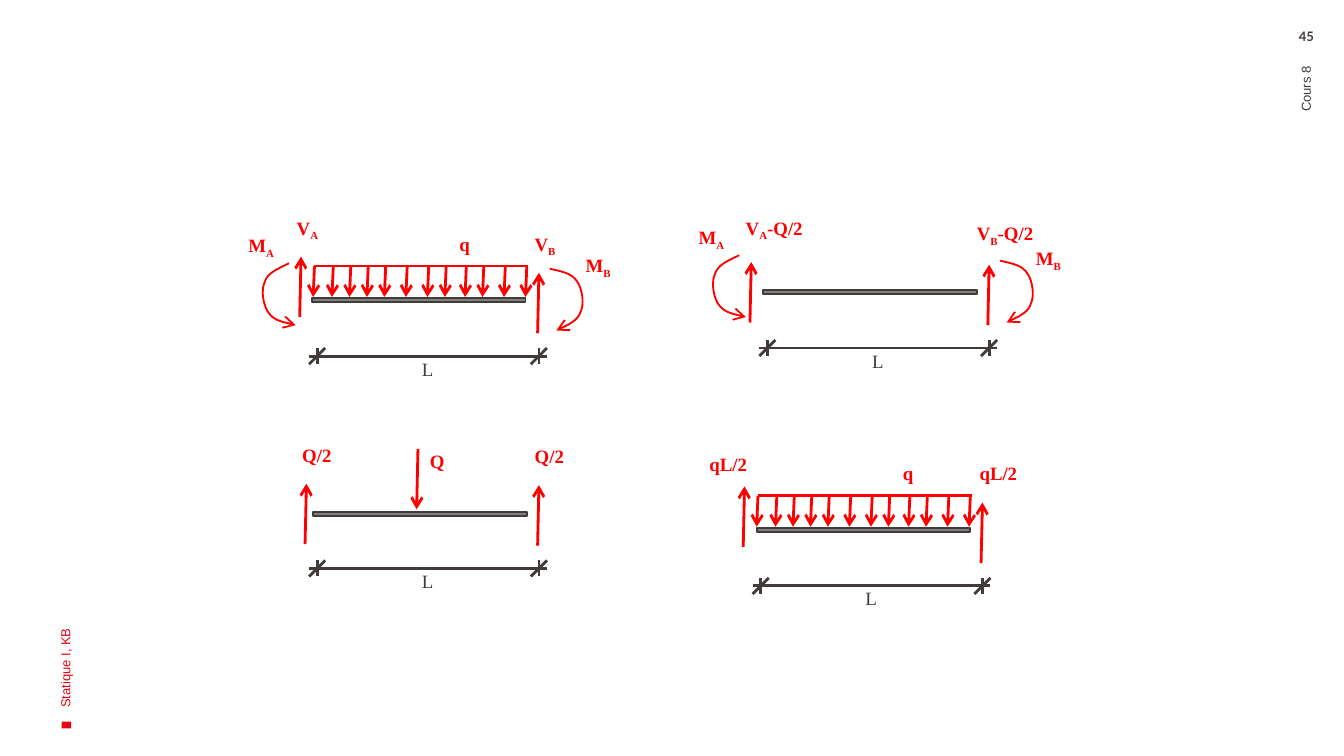
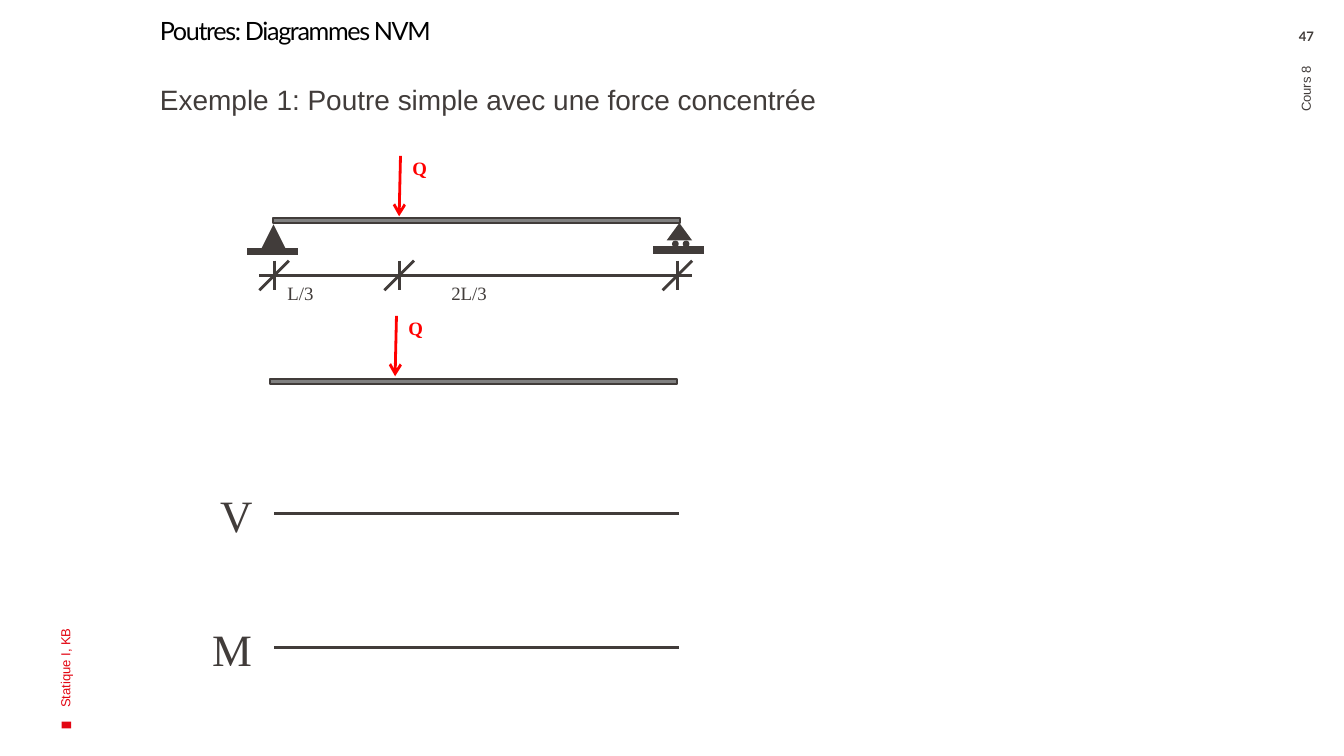
from lxml import etree
from pptx import Presentation
from pptx.dml.color import RGBColor
from pptx.enum.shapes import MSO_CONNECTOR, MSO_SHAPE
from pptx.enum.text import MSO_ANCHOR, MSO_AUTO_SIZE, PP_ALIGN
from pptx.oxml.ns import qn
from pptx.util import Cm, Pt

STRAIGHT = MSO_CONNECTOR.STRAIGHT
RECTANGLE, TRIANGLE, ELLIPSE = MSO_SHAPE.RECTANGLE, MSO_SHAPE.ISOSCELES_TRIANGLE, MSO_SHAPE.OVAL
TOP, MIDDLE = MSO_ANCHOR.TOP, MSO_ANCHOR.MIDDLE
LEFT, CENTER, RIGHT = PP_ALIGN.LEFT, PP_ALIGN.CENTER, PP_ALIGN.RIGHT
FIXED, GROW = MSO_AUTO_SIZE.NONE, MSO_AUTO_SIZE.SHAPE_TO_FIT_TEXT

BLACK = RGBColor(0x00, 0x00, 0x00)
INK = RGBColor(0x41, 0x3C, 0x3A)
FORCE_RED = RGBColor(0xFF, 0x00, 0x00)
BRAND_RED = RGBColor(0xE3, 0x06, 0x13)
BEAM_GREY = RGBColor(0x80, 0x80, 0x80)

SANS, HEADING, SERIF = "Arial", "Lato", "Times New Roman"
CM_PER_INCH = 2.54
SPAN = 1.65
BEAM_LENGTH = 1.59
FORCE_HEIGHT = 0.45
LOAD_OFFSETS = (0, 0.14, 0.27, 0.4, 0.53, 0.69, 0.85, 0.98, 1.13, 1.26, 1.42, 1.58)
MOMENT_CURVE = ((0, 0), (0.08, 0.02), (0.16, 0.03), (0.2, 0.09), (0.24, 0.14),
                (0.26, 0.26), (0.23, 0.32), (0.21, 0.39), (0.13, 0.42), (0.05, 0.46))
CURVE_STEPS = 10


def inches(value):
    return Cm(value * CM_PER_INCH)


def add_arrowhead(stroke):
    outline = stroke._element.spPr.find(qn("a:ln"))
    etree.SubElement(outline, qn("a:tailEnd"), type="arrow")


def add_line(slide, start, end, color=INK, weight=1.5, arrow=False):
    line = slide.shapes.add_connector(STRAIGHT, *map(inches, start + end))
    line.line.color.rgb = color
    line.line.width = Pt(weight)
    if arrow:
        add_arrowhead(line)
    etree.SubElement(line._element.spPr, qn("a:effectLst"))


def add_solid(slide, kind, left, top, width, height, fill, outlined=False):
    solid = slide.shapes.add_shape(kind, *map(inches, (left, top, width, height)))
    solid.shadow.inherit = False
    solid.fill.solid()
    solid.fill.fore_color.rgb = fill
    if outlined:
        solid.line.color.rgb = INK
        solid.line.width = Pt(1)
    else:
        solid.line.fill.background()
    return solid


def add_text(slide, frame, parts, size, font, color, bold=False, align=LEFT,
             anchor=TOP, insets=(0.1, 0.05, 0.1, 0.05), wrap=True, tracking=0,
             line_spacing=None):
    box = slide.shapes.add_textbox(*map(inches, frame))
    body = box.text_frame
    body.word_wrap = wrap
    body.auto_size = FIXED if wrap else GROW
    body.vertical_anchor = anchor
    (body.margin_left, body.margin_top,
     body.margin_right, body.margin_bottom) = map(inches, insets)
    paragraph = body.paragraphs[0]
    paragraph.alignment = align
    paragraph.line_spacing = line_spacing
    for position, part in enumerate(parts):
        run = paragraph.add_run()
        run.text = part
        run.font.size = Pt(size)
        run.font.name = font
        run.font.bold = bold
        run.font.color.rgb = color
        properties = run._r.get_or_add_rPr()
        if position == 1:
            properties.set("baseline", "-25000")
        if tracking:
            properties.set("spc", str(tracking))
    return box


def add_label(slide, left, top, width, *parts, color=FORCE_RED):
    add_text(slide, (left, top, width, 0.27), parts, 10.1, SERIF, color,
             bold=color == FORCE_RED, wrap=False)


def add_reaction(slide, x, top):
    add_line(slide, (x - 0.01, top + FORCE_HEIGHT), (x, top), FORCE_RED, arrow=True)


def add_point_load(slide, x, top):
    add_line(slide, (x, top), (x - 0.01, top + FORCE_HEIGHT), FORCE_RED, arrow=True)
    add_label(slide, x - 0.01, top - 0.04, 0.31, "Q")


def add_distributed_load(slide, left, top):
    for offset in LOAD_OFFSETS:
        x = left + offset
        add_line(slide, (x, top), (x - 0.01, top + 0.23), FORCE_RED, arrow=True)
    add_line(slide, (left + BEAM_LENGTH, top), (left, top), FORCE_RED)


def bezier_point(controls, t):
    weights = ((1 - t) ** 3, 3 * t * (1 - t) ** 2, 3 * t ** 2 * (1 - t), t ** 3)
    return tuple(sum(w * point[axis] for w, point in zip(weights, controls))
                 for axis in (0, 1))


def add_moment(slide, x, y, left_end=False):
    curve = MOMENT_CURVE
    if left_end:
        end_x, end_y = curve[-1]
        curve = [(end_x - dx, end_y - dy) for dx, dy in reversed(curve)]
        x -= curve[0][0]
        y -= curve[0][1]
    points = [(inches(x + dx), inches(y + dy))
              for first in range(0, len(curve) - 1, 3)
              for step in range(1, CURVE_STEPS + 1)
              for dx, dy in [bezier_point(curve[first:first + 4], step / CURVE_STEPS)]]
    start_x, start_y = curve[0]
    builder = slide.shapes.build_freeform(inches(x + start_x), inches(y + start_y))
    builder.add_line_segments(points, close=False)
    arc = builder.convert_to_shape()
    arc.shadow.inherit = False
    arc.fill.background()
    arc.line.color.rgb = FORCE_RED
    arc.line.width = Pt(1)
    add_arrowhead(arc)


def add_beam(slide, left, top, length=BEAM_LENGTH, depth=0.03):
    add_solid(slide, RECTANGLE, left, top, length, depth, BEAM_GREY, outlined=True)


def add_dimension(slide, y, ticks, reach):
    add_line(slide, (ticks[0] - reach, y), (ticks[-1] + reach, y))
    for x in ticks:
        add_line(slide, (x, y - reach), (x, y + reach))
        add_line(slide, (x - reach, y + reach), (x + reach, y - reach))


def add_span(slide, left, y):
    add_dimension(slide, y, (left, left + SPAN), 0.06)
    add_label(slide, left + 0.68, y - 0.04, 0.29, "L", color=INK)


def add_support(slide, x, top, height, ground):
    add_solid(slide, TRIANGLE, x - 0.09, top, 0.19, height, INK)
    add_line(slide, (x - 0.19, ground), (x + 0.19, ground), weight=4)


def add_loaded_beam(slide):
    add_beam(slide, 2.32, 2.22)
    add_reaction(slide, 2.24, 1.91)
    add_reaction(slide, 4.01, 2.03)
    add_moment(slide, 2.15, 1.96, left_end=True)
    add_moment(slide, 4.09, 2)
    add_distributed_load(slide, 2.34, 1.98)
    add_span(slide, 2.36, 2.65)
    add_label(slide, 2.11, 1.56, 0.37, "V", "A")
    add_label(slide, 3.88, 1.68, 0.37, "V", "B")
    add_label(slide, 1.75, 1.69, 0.4, "M", "A")
    add_label(slide, 4.26, 1.84, 0.4, "M", "B")
    add_label(slide, 3.32, 1.68, 0.28, "q")


def add_end_forces_beam(slide):
    add_beam(slide, 5.68, 2.16)
    add_reaction(slide, 5.59, 1.95)
    add_reaction(slide, 7.36, 1.97)
    add_moment(slide, 5.5, 1.9, left_end=True)
    add_moment(slide, 7.44, 1.94)
    add_span(slide, 5.71, 2.59)
    add_label(slide, 5.45, 1.56, 0.64, "V", "A", "-Q/2")
    add_label(slide, 7.17, 1.6, 0.64, "V", "B", "-Q/2")
    add_label(slide, 5.1, 1.63, 0.4, "M", "A")
    add_label(slide, 7.61, 1.79, 0.4, "M", "B")


def add_uniform_beam(slide):
    add_beam(slide, 5.63, 3.93)
    add_reaction(slide, 5.54, 3.62)
    add_reaction(slide, 7.31, 3.74)
    add_distributed_load(slide, 5.64, 3.69)
    add_span(slide, 5.66, 4.36)
    add_label(slide, 5.18, 3.32, 0.49, "qL/2")
    add_label(slide, 7.19, 3.39, 0.49, "qL/2")
    add_label(slide, 6.62, 3.39, 0.28, "q")


def add_centre_load_beam(slide):
    add_beam(slide, 2.33, 3.81)
    add_point_load(slide, 3.11, 3.34)
    add_reaction(slide, 2.28, 3.6)
    add_reaction(slide, 4.01, 3.61)
    add_span(slide, 2.36, 4.23)
    add_label(slide, 2.15, 3.25, 0.42, "Q/2")
    add_label(slide, 3.88, 3.26, 0.42, "Q/2")


def add_supported_beam(slide):
    add_support(slide, 2.03, 1.67, 0.19, 1.87)
    add_support(slide, 5.05, 1.66, 0.13, 1.86)
    for roller in (5, 5.08):
        add_solid(slide, ELLIPSE, roller, 1.79, 0.05, 0.05, INK)
    add_point_load(slide, 2.98, 1.16)
    add_beam(slide, 2.03, 1.62, 3.03, 0.04)
    add_dimension(slide, 2.05, (2.04, 2.97, 5.04), 0.11)
    add_label(slide, 2.04, 2.05, 0.4, "L/3", color=INK)
    add_label(slide, 3.26, 2.05, 0.47, "2L/3", color=INK)


def add_diagram_axis(slide, letter, left, width, y):
    add_text(slide, (left, y - 0.24, width, 0.5), (letter,), 24, SERIF, INK, wrap=False)
    add_line(slide, (2.04, y), (5.05, y))


def add_course_slide(deck, number):
    slide = deck.slides.add_slide(deck.slide_layouts[6])
    marker = add_solid(slide, RECTANGLE, 0.47, 5.36, 0.05, 0.07, BRAND_RED)
    marker.rotation = 270
    author = add_text(slide, (-1.34, 3.04, 3.65, 1), ("Statique I, KB",), 7, SANS,
                      BRAND_RED, anchor=MIDDLE)
    author.rotation = 270
    add_text(slide, (9.44, 0.21, 0.56, 0.18), (number,), 7, HEADING, INK,
             bold=True, align=CENTER, insets=(0.1, 0, 0.1, 0))
    course = add_text(slide, (7.78, 2.05, 3.87, 0.56), ("Cours 8",), 7, SANS, INK,
                      align=RIGHT, anchor=MIDDLE)
    course.rotation = 270
    return slide


def main():
    deck = Presentation()
    deck.slide_width, deck.slide_height = Cm(25.4), Cm(14.29)

    superposition = add_course_slide(deck, "45")
    add_loaded_beam(superposition)
    add_end_forces_beam(superposition)
    add_uniform_beam(superposition)
    add_centre_load_beam(superposition)

    example = add_course_slide(deck, "47")
    add_text(example, (0.99, 0.14, 7.67, 1.17), ("Poutres: Diagrammes NVM",), 13.5,
             HEADING, BLACK, insets=(0.2, 0, 0.08, 0.05), tracking=-70, line_spacing=0.9)
    add_text(example, (0.99, 0.59, 8.45, 3.7),
             ("Exemple 1: Poutre simple avec une force concentrée",), 15, SANS, INK,
             insets=(0.2, 0.05, 0.1, 0.05), line_spacing=0.9)
    add_supported_beam(example)
    add_diagram_axis(example, "V", 1.54, 0.45, 3.82)
    add_diagram_axis(example, "M", 1.48, 0.5, 4.82)
    add_point_load(example, 2.95, 2.35)
    add_beam(example, 2.01, 2.82, 3.03, 0.04)

    deck.save("out.pptx")


if __name__ == "__main__":
    main()
